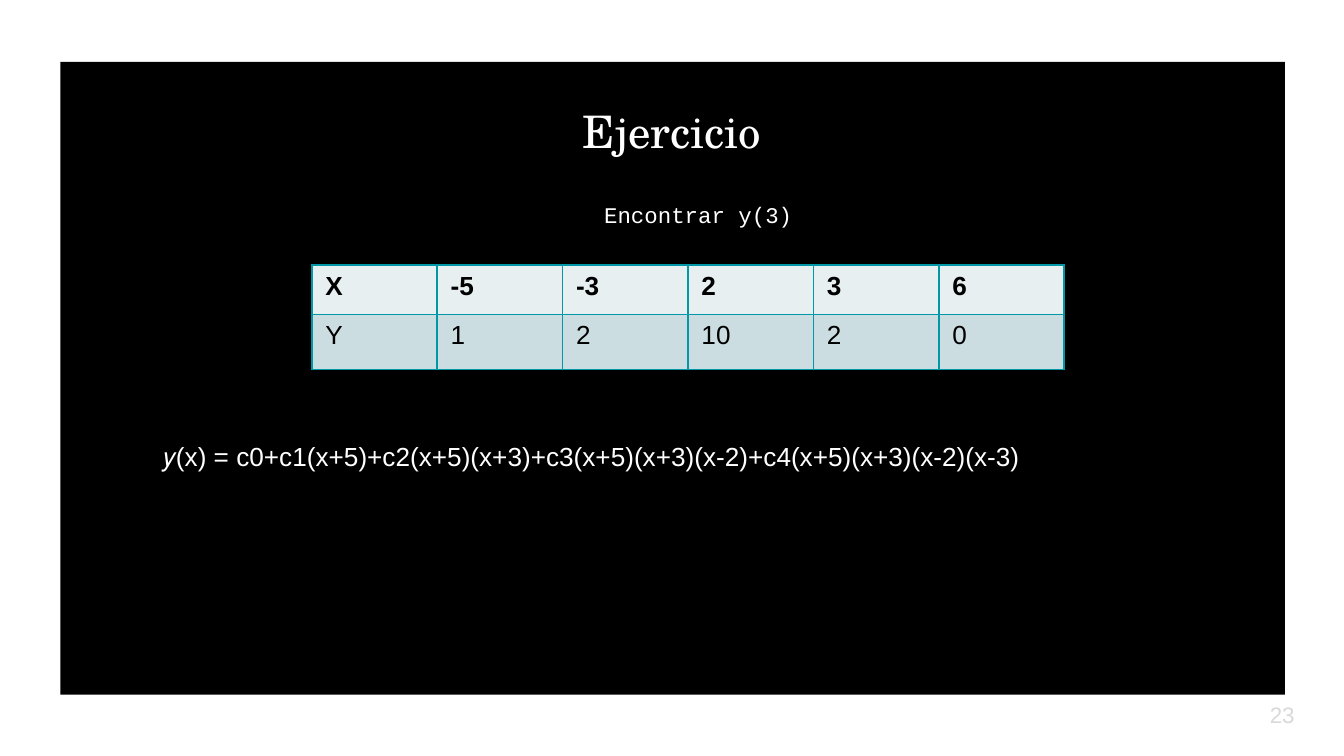
from dataclasses import dataclass

from lxml.etree import SubElement
from pptx import Presentation
from pptx.dml.color import RGBColor
from pptx.enum.shapes import MSO_SHAPE as Shape
from pptx.enum.text import MSO_ANCHOR as Anchor, PP_ALIGN as Align
from pptx.oxml.ns import qn
from pptx.util import Inches, Pt


@dataclass(frozen=True)
class Theme:
    panel: str = "000000"
    light: str = "FFFFFF"
    dark: str = "000000"
    number: str = "D9D9D9"
    border: str = "0097A7"
    row_fills: tuple = ("E7EFF1", "CCDDE1")
    sans: str = "Arial"
    mono: str = "Courier New"
    serif: str = "TeX Gyre Schola"
    title_size: int = 24
    body_size: int = 14
    small_size: int = 12


THEME = Theme()
SLIDE_WIDTH = 10
SLIDE_HEIGHT = SLIDE_WIDTH * 9 / 16
POINTS = (("X", "-5", "-3", "2", "3", "6"), ("Y", "1", "2", "10", "2", "0"))
FORMULA = "𝑦(x) = c0+c1(x+5)+c2(x+5)(x+3)+c3(x+5)(x+3)(x-2)+c4(x+5)(x+3)(x-2)(x-3)"


def style_text(para, font, size, color, bold=False):
    for span in para.runs:
        span.font.name = font
        span.font.size = Pt(size)
        span.font.bold = bold
        span.font.color.rgb = RGBColor.from_string(color)


def add_panel(page, left, top, width, height):
    panel = page.shapes.add_shape(
        Shape.RECTANGLE, Inches(left), Inches(top), Inches(width), Inches(height)
    )
    panel.shadow.inherit = False
    panel.fill.solid()
    panel.fill.fore_color.rgb = RGBColor.from_string(THEME.panel)
    panel.line.fill.background()


def add_text(page, text, area, font, size, color=THEME.light,
             align=Align.LEFT, anchor=Anchor.TOP, inset=None):
    box = page.shapes.add_textbox(*(Inches(length) for length in area))
    frame = box.text_frame
    frame.word_wrap = True
    frame.vertical_anchor = anchor
    if inset is not None:
        frame.margin_left = frame.margin_right = Inches(inset)
        frame.margin_top = frame.margin_bottom = Inches(inset)
    frame.text = text
    para = frame.paragraphs[0]
    para.alignment = align
    style_text(para, font, size, color)
    return para


def set_hanging_indent(para, margin, indent):
    properties = para._p.get_or_add_pPr()
    properties.set("marL", str(Inches(margin)))
    properties.set("indent", str(Inches(indent)))


def set_borders(cell, color, width):
    properties = cell._tc.get_or_add_tcPr()
    for position, side in enumerate(("lnL", "lnR", "lnT", "lnB")):
        line = SubElement(properties, qn(f"a:{side}"), w=str(Pt(width)))
        fill = SubElement(line, qn("a:solidFill"))
        SubElement(fill, qn("a:srgbClr"), val=color)
        properties.insert(position, line)


def add_points_table(page, left, top, width, row_heights):
    frame = page.shapes.add_table(
        len(POINTS), len(POINTS[0]), Inches(left), Inches(top),
        Inches(width), Inches(sum(row_heights))
    )
    table = frame.table
    for index, values in enumerate(POINTS):
        table.rows[index].height = Inches(row_heights[index])
        for column, value in enumerate(values):
            cell = table.cell(index, column)
            cell.text = value
            cell.fill.solid()
            cell.fill.fore_color.rgb = RGBColor.from_string(THEME.row_fills[index])
            style_text(cell.text_frame.paragraphs[0], THEME.sans,
                       THEME.body_size, THEME.dark, bold=index == 0)
            set_borders(cell, THEME.border, 1)


def main():
    deck = Presentation()
    deck.slide_width, deck.slide_height = Inches(SLIDE_WIDTH), Inches(SLIDE_HEIGHT)
    page = deck.slides.add_slide(deck.slide_layouts[6])

    add_panel(page, 0.45, 0.46, 9.11, 4.71)
    add_text(page, "23", (9.35, 5.1, 0.6, 0.43), THEME.sans, THEME.small_size,
             THEME.number, anchor=Anchor.MIDDLE, inset=0.1)
    task = add_text(page, "Encontrar y(3)", (1.44, 1.4, 7.34, 0.31), THEME.mono,
                    THEME.small_size, align=Align.CENTER, inset=0.1)
    set_hanging_indent(task, 0.5, -0.33)
    add_text(page, "Ejercicio", (3.5, 0.72, 3, 0.5), THEME.serif,
             THEME.title_size, align=Align.CENTER)
    add_points_table(page, 2.32, 1.97, 5.6, (0.37, 0.41))
    add_text(page, FORMULA, (1.12, 3.23, 8.13, 0.34), THEME.sans, THEME.body_size)

    deck.save("out.pptx")


if __name__ == "__main__":
    main()
